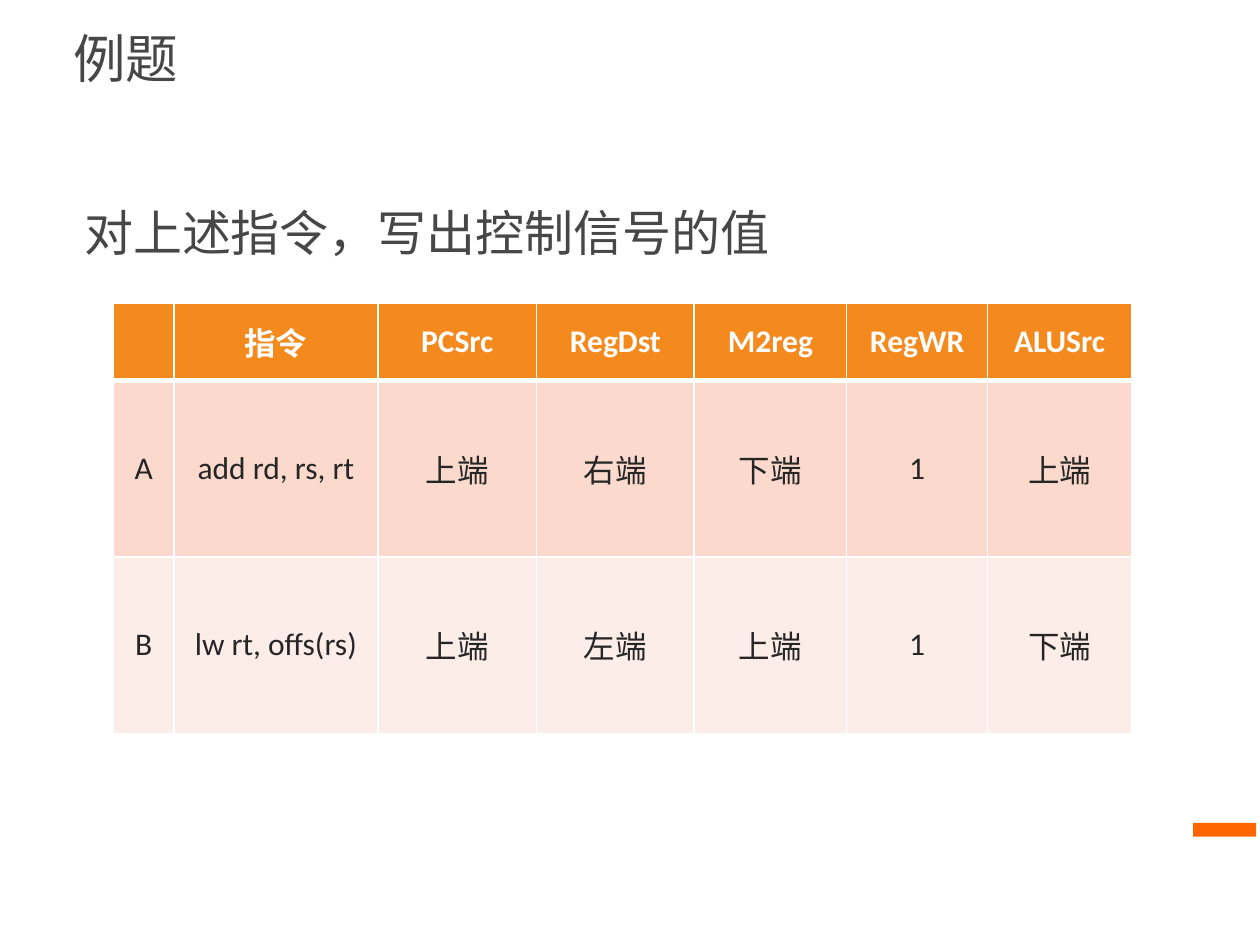
from lxml.etree import SubElement
from pptx import Presentation
from pptx.dml.color import RGBColor
from pptx.enum.shapes import MSO_SHAPE
from pptx.enum.text import MSO_ANCHOR, PP_ALIGN
from pptx.oxml import parse_xml
from pptx.oxml.ns import nsdecls, qn
from pptx.util import Inches, Pt

WHITE = RGBColor(0xFF, 0xFF, 0xFF)
GRAY = RGBColor(0x47, 0x47, 0x47)
DARK = RGBColor(0x26, 0x26, 0x26)
ORANGE = RGBColor(0xF4, 0x89, 0x1E)
ACCENT = RGBColor(0xFF, 0x66, 0x00)
BANDS = [RGBColor(0xFB, 0xDA, 0xCD), RGBColor(0xFD, 0xED, 0xE8)]

CHINESE_FONT = "Noto Sans CJK SC"
TABLE_FONT = "Calibri"

COLUMN_WIDTHS = [0.48, 1.62, 1.26, 1.25, 1.21, 1.12, 1.14]
ROW_HEIGHTS = [0.61, 1.4, 1.4]
SIGNALS = [
    ["", "指令", "PCSrc", "RegDst", "M2reg", "RegWR", "ALUSrc"],
    ["A", "add rd, rs, rt", "上端", "右端", "下端", "1", "上端"],
    ["B", "lw rt, offs(rs)", "上端", "左端", "上端", "1", "下端"],
]


def format_text(text_frame, size, color, font_name, alignment, bold=False):
    for paragraph in text_frame.paragraphs:
        paragraph.alignment = alignment
        for run in paragraph.runs:
            run.font.size = Pt(size)
            run.font.bold = bold
            run.font.name = font_name
            run.font.color.rgb = color
            east_asian = SubElement(run.font._element, qn("a:ea"))
            east_asian.set("typeface", CHINESE_FONT)


def fill_heading(shape, box, text, size):
    """Place a left-aligned, vertically centred line of Chinese text."""
    shape.left, shape.top, shape.width, shape.height = map(Inches, box)
    text_frame = shape.text_frame
    text_frame.word_wrap = True
    text_frame.vertical_anchor = MSO_ANCHOR.MIDDLE
    text_frame.text = text
    format_text(text_frame, size, GRAY, CHINESE_FONT, PP_ALIGN.LEFT)


def set_borders(cell, top, bottom):
    """Draw white cell borders; top and bottom widths are in points."""
    properties = cell._tc.get_or_add_tcPr()
    widths = {"lnL": 1, "lnR": 1, "lnT": top, "lnB": bottom}
    for index, (side, width) in enumerate(widths.items()):
        properties.insert(index, parse_xml(
            f'<a:{side} {nsdecls("a")} w="{Pt(width)}"><a:solidFill>'
            f'<a:srgbClr val="{WHITE}"/></a:solidFill></a:{side}>'))


def add_signal_table(slide):
    table = slide.shapes.add_table(
        len(ROW_HEIGHTS), len(COLUMN_WIDTHS), Inches(0.9), Inches(2.41),
        Inches(sum(COLUMN_WIDTHS)), Inches(sum(ROW_HEIGHTS))).table
    for column, width in zip(table.columns, COLUMN_WIDTHS):
        column.width = Inches(width)
    for row, height in zip(table.rows, ROW_HEIGHTS):
        row.height = Inches(height)
    for row_index, values in enumerate(SIGNALS):
        is_header = row_index == 0
        for column_index, value in enumerate(values):
            cell = table.cell(row_index, column_index)
            cell.text = value
            cell.vertical_anchor = MSO_ANCHOR.MIDDLE
            cell.fill.solid()
            cell.fill.fore_color.rgb = ORANGE if is_header else BANDS[row_index - 1]
            format_text(cell.text_frame, 18, WHITE if is_header else DARK,
                        TABLE_FONT, PP_ALIGN.CENTER, bold=is_header)
            # The rule below the header is thicker
            set_borders(cell, top=3 if row_index == 1 else 1,
                        bottom=3 if is_header else 1)


def add_accent_bar(slide):
    bar = slide.shapes.add_shape(MSO_SHAPE.RECTANGLE, Inches(9.47), Inches(6.53),
                                 Inches(0.5), Inches(0.11))
    bar.shadow.inherit = False
    bar.fill.solid()
    bar.fill.fore_color.rgb = ACCENT
    bar.line.fill.background()


def main():
    presentation = Presentation()
    presentation.slide_width = Inches(10)
    presentation.slide_height = Inches(7.5)
    slide = presentation.slides.add_slide(presentation.slide_layouts[5])

    add_accent_bar(slide)

    # Title and question
    fill_heading(slide.shapes.title, (0.48, 0.08, 9.19, 0.75), "例题", 30)
    question = slide.shapes.add_textbox(0, 0, 0, 0)
    fill_heading(question, (0.57, 1.55, 9, 0.58), "对上述指令，写出控制信号的值", 28)

    # Control signal values
    add_signal_table(slide)

    presentation.save("out.pptx")


if __name__ == "__main__":
    main()
